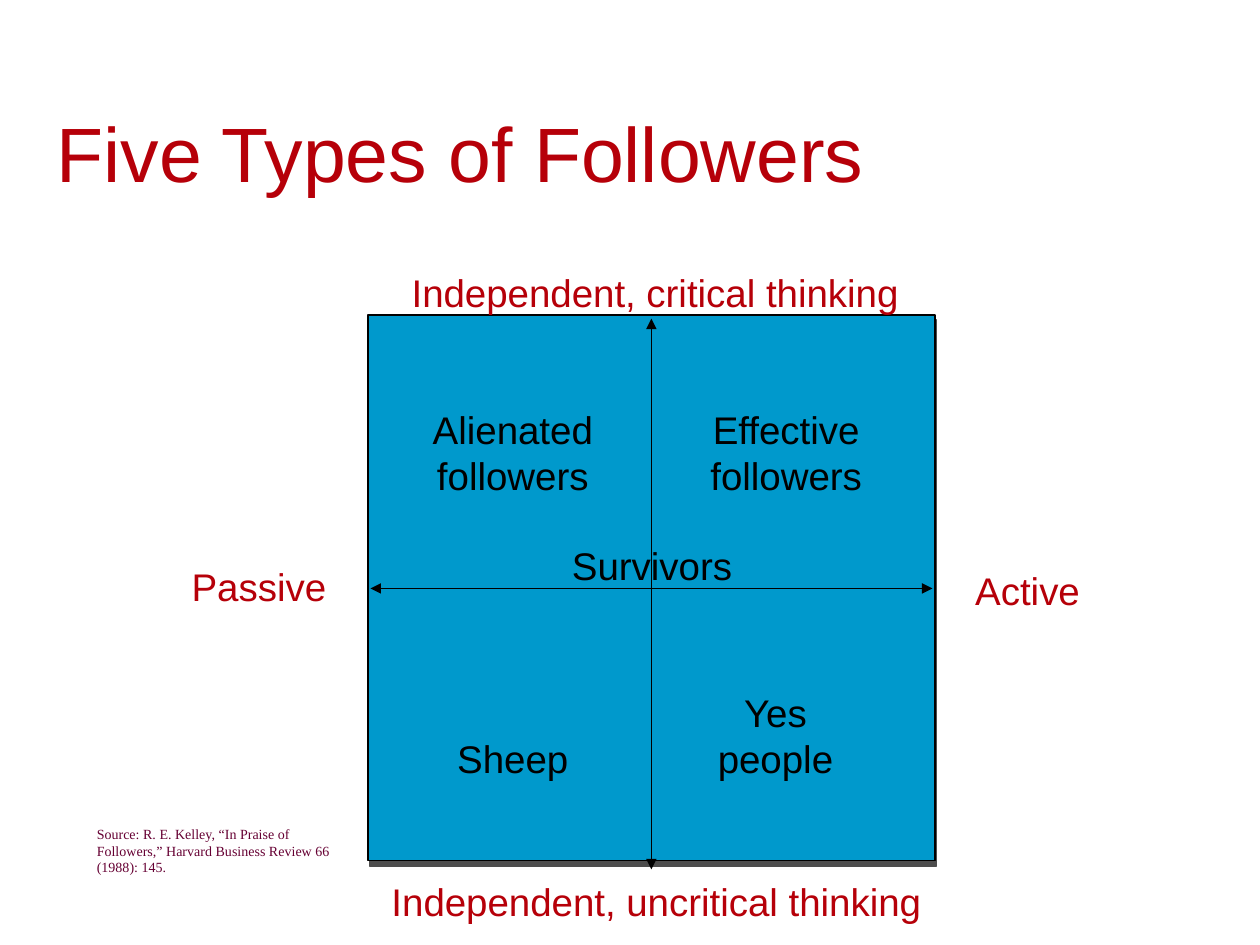
from dataclasses import dataclass

from lxml import etree
from pptx import Presentation
from pptx.dml.color import RGBColor
from pptx.enum.shapes import MSO_CONNECTOR, MSO_SHAPE
from pptx.enum.text import MSO_ANCHOR, MSO_AUTO_SIZE, PP_ALIGN
from pptx.oxml.ns import qn
from pptx.util import Inches, Pt

RECT = MSO_SHAPE.RECTANGLE
STRAIGHT = MSO_CONNECTOR.STRAIGHT
TOP, MIDDLE = MSO_ANCHOR.TOP, MSO_ANCHOR.MIDDLE
LEFT, CENTER = PP_ALIGN.LEFT, PP_ALIGN.CENTER
FIT = MSO_AUTO_SIZE.SHAPE_TO_FIT_TEXT


@dataclass(frozen=True)
class Theme:
    red: str = "B60009"
    black: str = "000000"
    blue: str = "0099CC"
    plum: str = "660033"
    shade: str = "4D4D4D"
    sans: str = "Arial"
    serif: str = "Times New Roman"
    title: int = 44
    label: int = 22
    note: int = 8
    stroke: int = 1


class Deck:
    """Holds the theme and current slide; lengths are percent of the slide."""

    def __init__(self, theme):
        self.theme = theme
        self.file = Presentation()
        self.file.slide_width, self.file.slide_height = Inches(10), Inches(7.5)
        self.slide = self.file.slides.add_slide(self.file.slide_layouts[6])

    def scale(self, *shares):
        sides = self.file.slide_width, self.file.slide_height
        return [round(sides[i % 2] * s / 100) for i, s in enumerate(shares)]

    def text(self, area, words, size, color, font, align=LEFT, anchor=MIDDLE, wrap=True):
        frame = self.slide.shapes.add_textbox(*self.scale(*area)).text_frame
        frame.text = words
        format = {"word_wrap": wrap, "vertical_anchor": anchor, "auto_size": FIT}
        for name, value in format.items():
            setattr(frame, name, value)
        for para in frame.paragraphs:
            para.alignment = align
            for name, value in {"size": Pt(size), "name": font}.items():
                setattr(para.font, name, value)
            para.font.color.rgb = RGBColor.from_string(color)

    def label(self, x, y, width, words, color):
        """Centre a label on a point; its height follows its line count."""
        high = 6.13 + 4.94 * words.count("\n")
        area = x - width / 2, y - high / 2, width, high
        self.text(area, words, self.theme.label, color, self.theme.sans,
                  align=CENTER, wrap=False)

    def stroke(self, line):
        line.color.rgb = RGBColor.from_string(self.theme.black)
        line.width = Pt(self.theme.stroke)

    def box(self, area):
        shape = self.slide.shapes.add_shape(RECT, *self.scale(*area))
        shape.fill.solid()
        shape.fill.fore_color.rgb = RGBColor.from_string(self.theme.blue)
        self.stroke(shape.line)
        # Hard drop shadow
        shape.shadow.inherit = False
        effects = shape.element.spPr.find(qn("a:effectLst"))
        shadow = etree.SubElement(effects, qn("a:outerShdw"), blurRad="0",
                                  dist=str(Pt(3.2)), dir=str(72 * 60000),
                                  algn="ctr", rotWithShape="0")
        etree.SubElement(shadow, qn("a:srgbClr"), val=self.theme.shade)

    def arrow(self, *ends):
        line = self.slide.shapes.add_connector(STRAIGHT, *self.scale(*ends))
        self.stroke(line.line)
        props = line.element.spPr
        for end in ("a:headEnd", "a:tailEnd"):
            etree.SubElement(props.find(qn("a:ln")), qn(end), type="triangle")
        etree.SubElement(props, qn("a:effectLst"))


def main():
    theme = Theme()
    deck = Deck(theme)

    # Title
    deck.text((3.5, 10.53, 94.5, 11.07), "Five Types of Followers",
              theme.title, theme.red, theme.sans)

    # Square with its two axes, which stop just off its edges
    deck.box((29.2, 33.33, 45, 57.73))
    deck.arrow(51.7, 33.73, 51.7, 92)
    deck.arrow(29.4, 62.27, 74, 62.27)

    # Axis ends in red, follower types in black: centre x, centre y, width
    groups = {
        theme.red: [
            (52.1, 95.33, 45, "Independent, uncritical thinking"),
            (52, 30.93, 41.6, "Independent, critical thinking"),
            (20.55, 62, 13.2, "Passive"),
            (81.55, 62.4, 10.8, "Active"),
        ],
        theme.black: [
            (40.7, 47.8, 15.2, "Alienated\nfollowers"),
            (51.75, 59.8, 15.2, "Survivors"),
            (40.7, 80.2, 11.4, "Sheep"),
            (61.55, 77.8, 12, "Yes\npeople"),
            (62.4, 47.8, 14.6, "Effective\nfollowers"),
        ],
    }
    for color, labels in groups.items():
        for x, y, width, words in labels:
            deck.label(x, y, width, words, color)

    # Source note
    deck.text((6.7, 86.67, 21.6, 6.67),
              "Source: R. E. Kelley, “In Praise of Followers,” "
              "Harvard Business Review 66 (1988): 145.",
              theme.note, theme.plum, theme.serif, anchor=TOP)

    deck.file.save("out.pptx")


if __name__ == "__main__":
    main()
